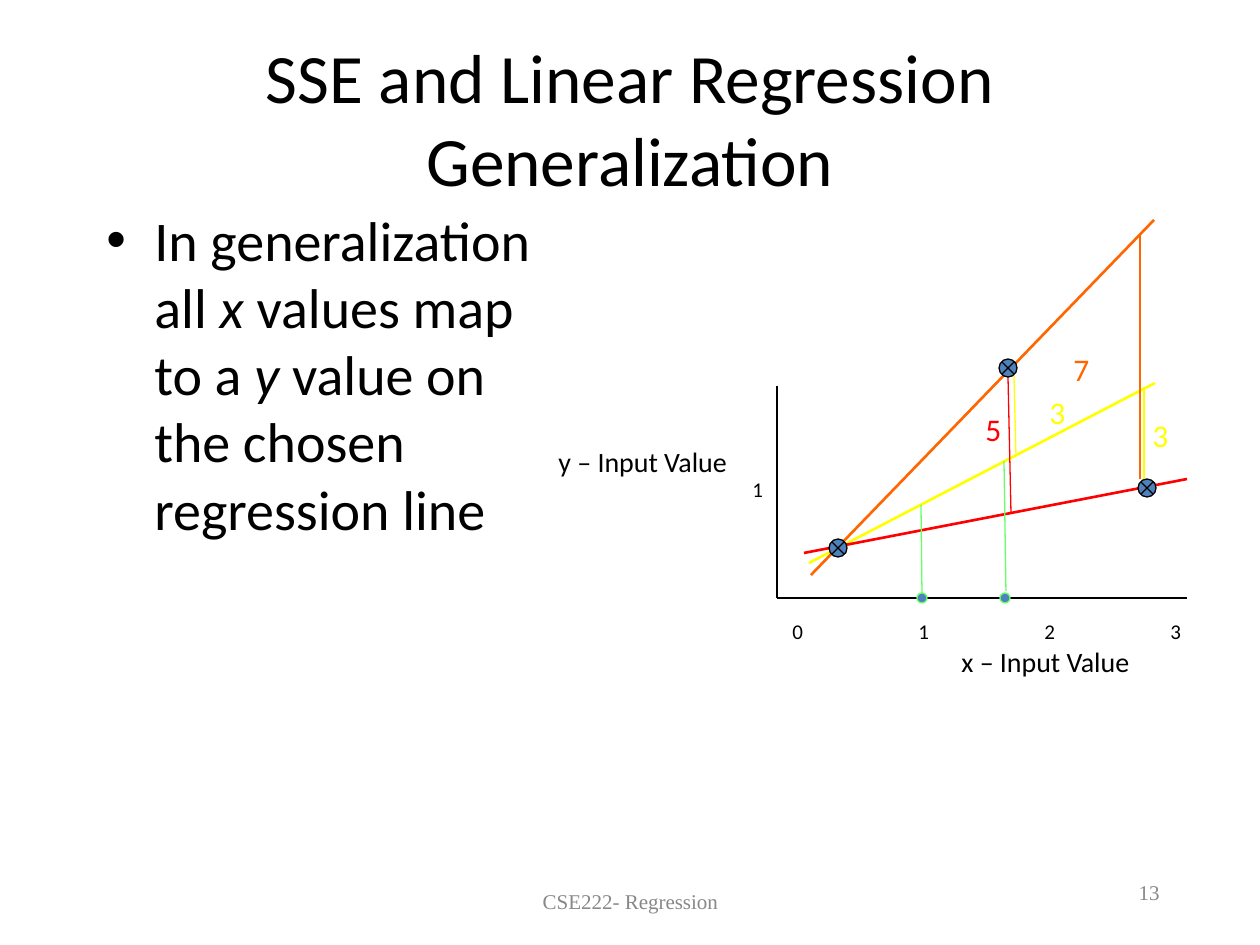
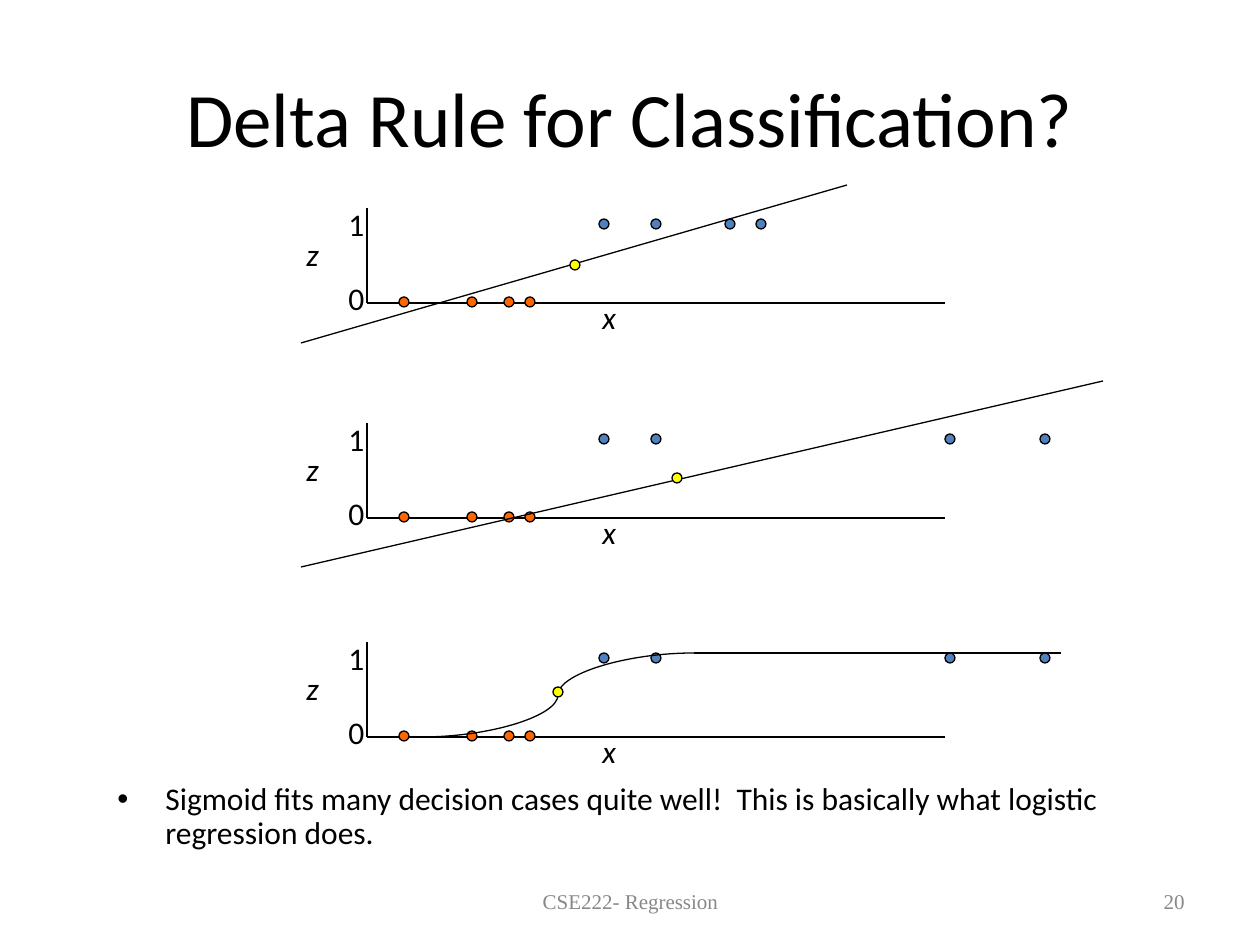
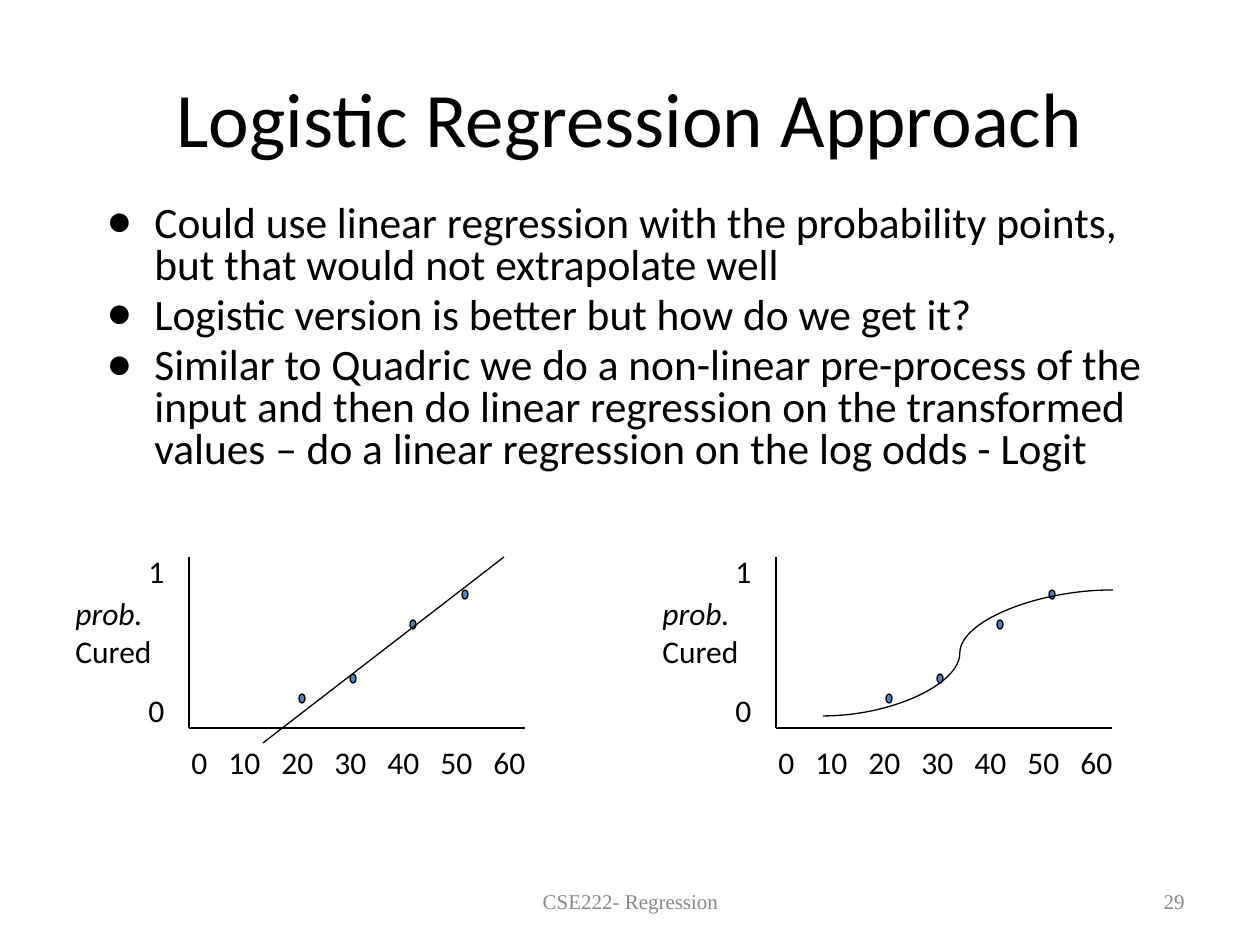
from dataclasses import dataclass

from lxml import etree
from pptx import Presentation
from pptx import util as u
from pptx.dml.color import RGBColor
from pptx.enum import shapes, text
from pptx.oxml.ns import qn


@dataclass(frozen=True)
class Theme:
    black: str = "000000"
    grey: str = "888888"
    blue: str = "4F81BD"
    orange: str = "FF6600"
    yellow: str = "FFFF00"
    red: str = "FF0000"
    green: str = "66FF66"
    font: str = "Calibri"
    footer_font: str = "Times New Roman"
    title: float = 44
    title_long: float = 39.6
    body: float = 32
    body_mid: float = 24.8
    label: float = 18
    axis: float = 16
    small: float = 12
    thin: float = 0.75
    thick: float = 1.5


T = Theme()
PX = 914400 / 126
LINE, CURVE = shapes.MSO_CONNECTOR.STRAIGHT, shapes.MSO_CONNECTOR.CURVE
OVAL, JUNCTION = shapes.MSO_SHAPE.OVAL, shapes.MSO_SHAPE.FLOWCHART_SUMMING_JUNCTION
LEFT, CENTER, RIGHT = text.PP_ALIGN.LEFT, text.PP_ALIGN.CENTER, text.PP_ALIGN.RIGHT
MIDDLE, TOP = text.MSO_ANCHOR.MIDDLE, text.MSO_ANCHOR.TOP


def write(s, box, paras, size=T.label, color=T.black, font=T.font, italic=False,
          align=LEFT, anchor=TOP, bullet=None, spacing=None, gap=0, tabs=()):
    tf = s.shapes.add_textbox(*(round(v * PX) for v in box)).text_frame
    tf.word_wrap, tf.vertical_anchor = True, anchor
    for i, runs in enumerate([paras] if isinstance(paras, str) else paras):
        p = tf.paragraphs[0] if i == 0 else tf.add_paragraph()
        p.alignment = align
        if spacing:
            p.line_spacing = spacing
        if i and gap:
            p.space_before = u.Pt(gap)
        pPr = p._p.get_or_add_pPr()
        if bullet:
            pPr.set("marL", str(round(48 * PX)))
            pPr.set("indent", str(round(-48 * PX)))
            etree.SubElement(pPr, qn("a:buFont")).set("typeface", "Arial")
            etree.SubElement(pPr, qn("a:buChar")).set("char", bullet)
        if tabs:
            stops = etree.SubElement(pPr, qn("a:tabLst"))
            for x in tabs:
                etree.SubElement(stops, qn("a:tab"), pos=str(round(x * PX)), algn="l")
        for words, slanted in [(runs, italic)] if isinstance(runs, str) else runs:
            r = p.add_run()
            r.text = words
            fmt = {"size": u.Pt(size), "name": font, "italic": slanted}
            for key, value in fmt.items():
                setattr(r.font, key, value)
            r.font.color.rgb = RGBColor.from_string(color)


def draw(s, kind, box, color=T.black, width=T.thin, fill=None):
    box = [round(v * PX) for v in box]
    if fill:
        sp = s.shapes.add_shape(kind, *box)
        sp.shadow.inherit = False
        sp.fill.solid()
        sp.fill.fore_color.rgb = RGBColor.from_string(fill)
    else:
        sp = s.shapes.add_connector(kind, *box)
        etree.SubElement(sp._element.spPr, qn("a:effectLst"))
    sp.line.color.rgb = RGBColor.from_string(color)
    sp.line.width = u.Pt(width)
    return sp


prs = Presentation()
prs.slide_width, prs.slide_height = u.Inches(10), u.Inches(7.5)

corner = (903, 876, 294, 50)
pages = [
    ("SSE and Linear Regression Generalization", T.title_long, "13", (910, 861, 262, 63)),
    ("Delta Rule for Classification?", T.title, "20", corner),
    ("Logistic Regression Approach", T.title, "29", corner),
]
slides = []
for title, size, number, number_box in pages:
    s = prs.slides.add_slide(prs.slide_layouts[6])
    write(s, (63, 38, 1134, 158), title, size, align=CENTER, anchor=MIDDLE)
    for box, words, align in [((431, 876, 399, 50), "CSE222- Regression", CENTER),
                              (number_box, number, RIGHT)]:
        write(s, box, words, T.small, T.grey, T.footer_font, align=align, anchor=MIDDLE)
    slides.append(s)
generalization, delta, logistic = slides

s = generalization
write(s, (94, 199, 451, 640), [[
    ("In generalization all ", False), ("x", True), (" values map to a ", False),
    ("y ", True), ("value on the chosen regression line", False)]], T.body, bullet="•")
for box, color, width in [
    ((777, 386, 777, 598), T.black, T.thin),
    ((777, 598, 1187, 598), T.black, T.thin),
    ((809, 563, 1155, 383), T.yellow, T.thick),
    ((1014, 375, 1016, 455), T.yellow, T.thin),
    ((811, 575, 1154, 220), T.orange, T.thick),
    ((1144, 387, 1144, 479), T.yellow, T.thin),
    ((1140, 479, 1140, 234), T.orange, T.thin),
    ((804, 553, 1187, 479), T.red, T.thick),
    ((1011, 512, 1008, 377), T.red, T.thin),
]:
    draw(s, LINE, box, color, width)
for x, y, error, color in [(1037, 387, "3", T.yellow), (1140, 410, "3", T.yellow),
                           (1061, 344, "7", T.orange), (973, 404, "5", T.red)]:
    write(s, (x, y, 42, 50), error, color=color)
for x, y in [(829, 539), (1138, 479), (999, 359)]:
    draw(s, JUNCTION, (x, y, 18, 18), fill=T.blue)
for x, y, name in [(949, 638, "x – Input Value"), (546, 438, "y – Input Value")]:
    write(s, (x, y, 205, 47), name, T.axis)
write(s, (780, 612, 428, 38), "0\t1\t2\t3", T.small, tabs=(126, 252, 378))
write(s, (740, 470, 37, 38), "1", T.small)
for x in (917, 1000):
    draw(s, OVAL, (x, 593, 10, 10), T.green, fill=T.blue)
for box in [(922, 593, 921, 505), (1006, 591, 1004, 461)]:
    draw(s, LINE, box, T.green)

s = delta
write(s, (105, 777, 1071, 84),
      "Sigmoid fits many decision cases quite well!  This is basically what logistic regression does.",
      bullet="•", spacing=0.9)
for base, far_ones, fits, boundary in [
    (303, (725, 756), [(LINE, (847, 185, 301, 343))], (570, 260)),
    (518, (945, 1040), [(LINE, (1103, 381, 301, 567))], (672, 473)),
    (737, (945, 1040), [(CURVE, (422, 737, 694, 653)), (LINE, (694, 653, 1061, 653))], (553, 687)),
]:
    draw(s, LINE, (367, base, 945, base))
    draw(s, LINE, (367, base, 367, base - 95))
    for x, rise, name, italic in [(590, 11, "x", True), (294, 74, "z", True),
                                  (336, 30, "0", False), (336, 104, "1", False)]:
        write(s, (x, base - rise, 50, 50), name, italic=italic)
    for xs, rise, fill in [((599, 651, *far_ones), 84, T.blue),
                           ((399, 467, 504, 525), 6, T.orange)]:
        for x in xs:
            draw(s, OVAL, (x, base - rise, 10, 10), fill=fill)
    for kind, box in fits:
        draw(s, kind, box)
    draw(s, OVAL, (*boundary, 10, 10), fill=T.yellow)

s = logistic
write(s, (94, 199, 1071, 325), [
    "Could use linear regression with the probability points, but that would not extrapolate well",
    "Logistic version is better but how do we get it?",
    "Similar to Quadric we do a non-linear pre-process of the input and then do linear regression "
    "on the transformed values – do a linear regression on the log odds - Logit",
], T.body_mid, bullet="●", spacing=0.8, gap=5)
for left in (189, 776):
    draw(s, LINE, (left, 557, left, 728))
    draw(s, LINE, (left, 728, left + 336, 728))
    write(s, (left - 10, 737, 411, 50), "0\t10\t20\t30\t40\t50\t60",
          tabs=[37 + 53 * i for i in range(6)])
    write(s, (left - 126, 588, 105, 89), [[("prob.", True)], "Cured"])
    for y, level in [(685, "0"), (546, "1")]:
        write(s, (left - 53, y, 42, 50), level)
    for dx, y in [(110, 694), (161, 674), (221, 620), (273, 590)]:
        draw(s, OVAL, (left + dx, y, 6, 9), fill=T.blue)
draw(s, LINE, (504, 557, 263, 743))
sigmoid = draw(s, CURVE, (823, 716, 1113, 590))
bend = sigmoid._element.spPr.find(qn("a:prstGeom")).find(qn("a:avLst"))
etree.SubElement(bend, qn("a:gd"), name="adj1", fmla="val 47200")

prs.save("out.pptx")
